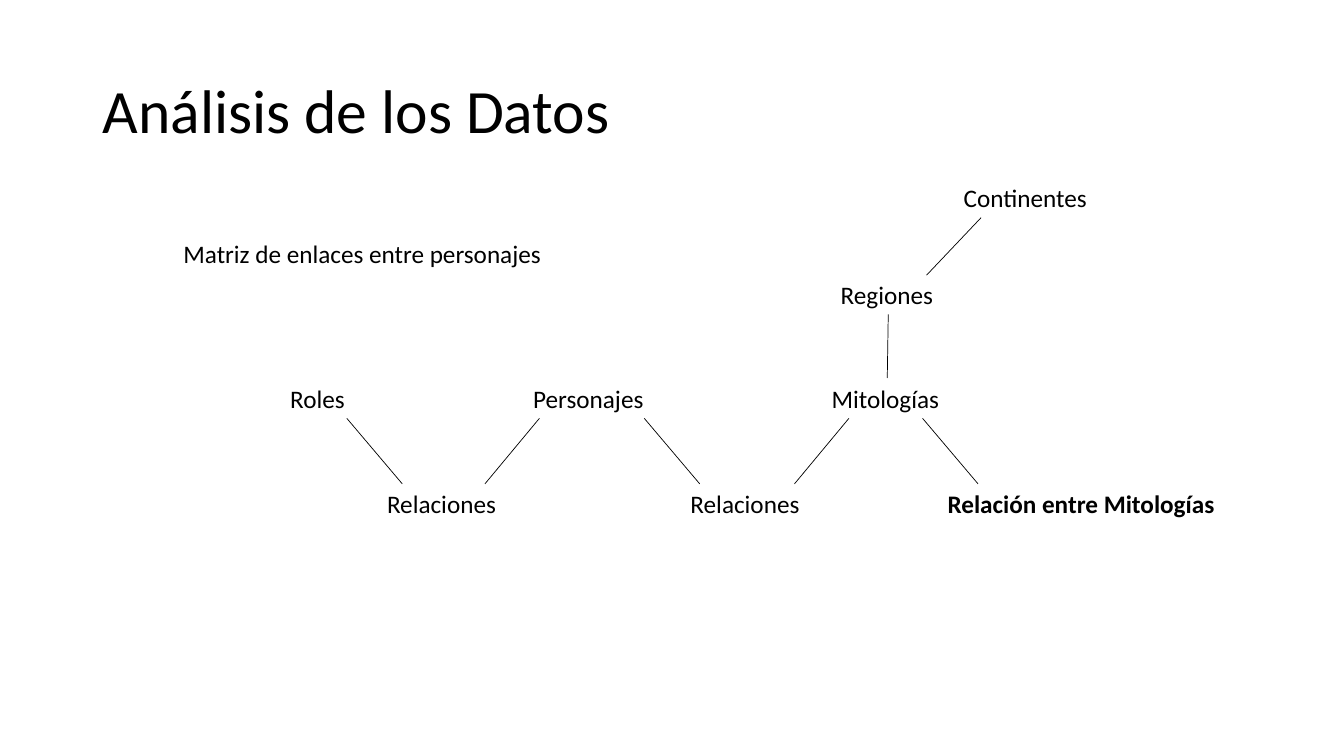
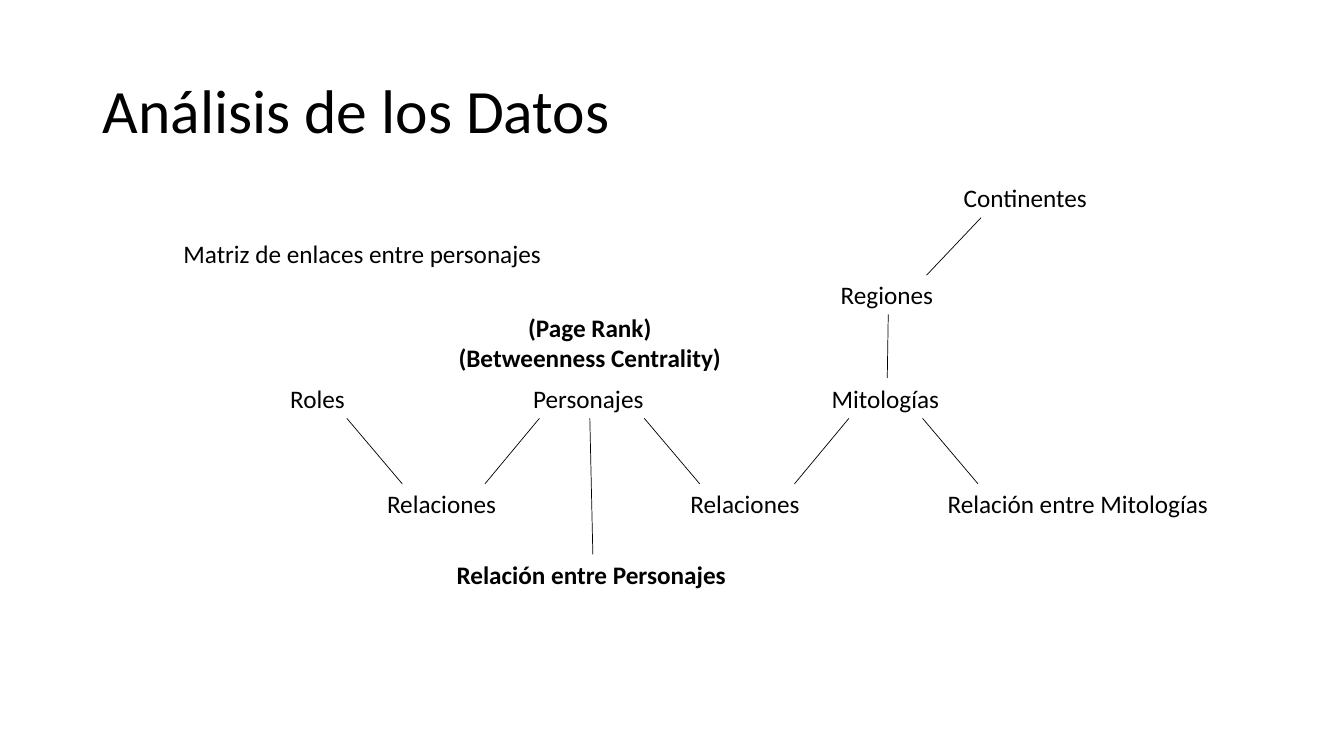
from dataclasses import dataclass

from pptx import Presentation
from pptx.dml.color import RGBColor
from pptx.enum.shapes import MSO_CONNECTOR as Connector
from pptx.enum.text import MSO_ANCHOR as Anchor, MSO_AUTO_SIZE as AutoSize, PP_ALIGN as Align
from pptx.oxml.ns import qn
from pptx.slide import Slide
from pptx.util import Inches, Pt


@dataclass(frozen=True)
class Theme:
    font: str = "Calibri"
    ink: RGBColor = RGBColor(0, 0, 0)
    title_size: float = 44
    label_size: float = 18
    line_width: float = 0.5


@dataclass(frozen=True)
class Label:
    lines: tuple[str, ...]
    left: float
    top: float
    width: float
    height: float = 0.4
    bold: bool = False
    size: float = Theme.label_size
    align: Align = Align.LEFT


@dataclass(frozen=True)
class Link:
    start: tuple[float, float]
    end: tuple[float, float]


THEME = Theme()

# Rows of the diagram: top of the labels, and where links leave or reach them
ENTITY_TOP, RELATION_TOP = 3.75, 4.8
ENTITY_BASE = 4.15

TITLE = Label(("Análisis de los Datos",), 0.92, 0.4, 11.5, 1.45, size=THEME.title_size)

# Labels and links present on both slides
SHARED_LABELS = (
    Label(("Roles",), 2.78, ENTITY_TOP, 0.76),
    Label(("Personajes",), 5.19, ENTITY_TOP, 1.33),
    Label(("Mitologías",), 8.15, ENTITY_TOP, 1.31),
    Label(("Relaciones",), 3.74, RELATION_TOP, 1.31),
    Label(("Relaciones",), 6.75, RELATION_TOP, 1.31),
    Label(("Regiones",), 8.24, 2.72, 1.14),
    Label(("Continentes",), 9.46, 1.76, 1.46),
    Label(("Matriz de enlaces entre personajes",), 1.72, 2.32, 3.79),
)
RELATION_LINKS = tuple(
    Link((start, ENTITY_BASE), (end, RELATION_TOP))
    for start, end in ((3.44, 3.99), (5.35, 4.81), (6.39, 6.94), (8.42, 7.88), (9.15, 9.7))
)
SHARED_LINKS = RELATION_LINKS + (
    Link((9.73, 2.16), (9.19, 2.73)),
    Link((8.81, 3.12), (8.8, ENTITY_TOP)),
)

# Labels and links added by the second slide
CHARACTER_LABELS = (
    Label(("(Page Rank)", "(Betweenness Centrality)"), 4.44, 3.05, 2.82, 0.71,
          bold=True, align=Align.CENTER),
    Label(("Relación entre Personajes",), 4.43, 5.5, 2.89, bold=True),
)
CHARACTER_LINKS = (Link((5.85, ENTITY_BASE), (5.88, 5.5)),)


def add_label(page: Slide, label: Label):
    box = page.shapes.add_textbox(
        Inches(label.left), Inches(label.top), Inches(label.width), Inches(label.height))
    frame = box.text_frame
    frame.word_wrap = False
    frame.auto_size = AutoSize.SHAPE_TO_FIT_TEXT
    for index, line in enumerate(label.lines):
        para = frame.add_paragraph() if index else frame.paragraphs[0]
        para.alignment = label.align
        span = para.add_run()
        span.text = line
        span.font.name = THEME.font
        span.font.size = Pt(label.size)
        span.font.bold = label.bold
        span.font.color.rgb = THEME.ink
    return frame


def add_title(page: Slide) -> None:
    frame = add_label(page, TITLE)
    frame.word_wrap = True
    frame.auto_size = AutoSize.NONE
    frame.vertical_anchor = Anchor.MIDDLE
    frame.paragraphs[0].line_spacing = 0.9


def add_link(page: Slide, link: Link) -> None:
    line = page.shapes.add_connector(
        Connector.STRAIGHT, *(Inches(value) for value in link.start + link.end))
    line.line.color.rgb = THEME.ink
    line.line.width = Pt(THEME.line_width)
    properties = line._element.spPr
    properties.append(properties.makeelement(qn("a:effectLst"), {}))


def add_page(deck, labels: tuple[Label, ...] = (), links: tuple[Link, ...] = (),
             mythology_bold: bool = False) -> None:
    page = deck.slides.add_slide(deck.slide_layouts[6])
    add_title(page)
    mythology = Label(("Relación entre Mitologías",), 9.3, RELATION_TOP, 2.87,
                      bold=mythology_bold)
    for label in SHARED_LABELS + (mythology,) + labels:
        add_label(page, label)
    for link in SHARED_LINKS + links:
        add_link(page, link)


deck = Presentation()
deck.slide_width, deck.slide_height = Inches(13.33), Inches(7.5)

# Slide 1: relations between mythologies
add_page(deck, mythology_bold=True)

# Slide 2: relations between characters
add_page(deck, CHARACTER_LABELS, CHARACTER_LINKS)

deck.save("out.pptx")
